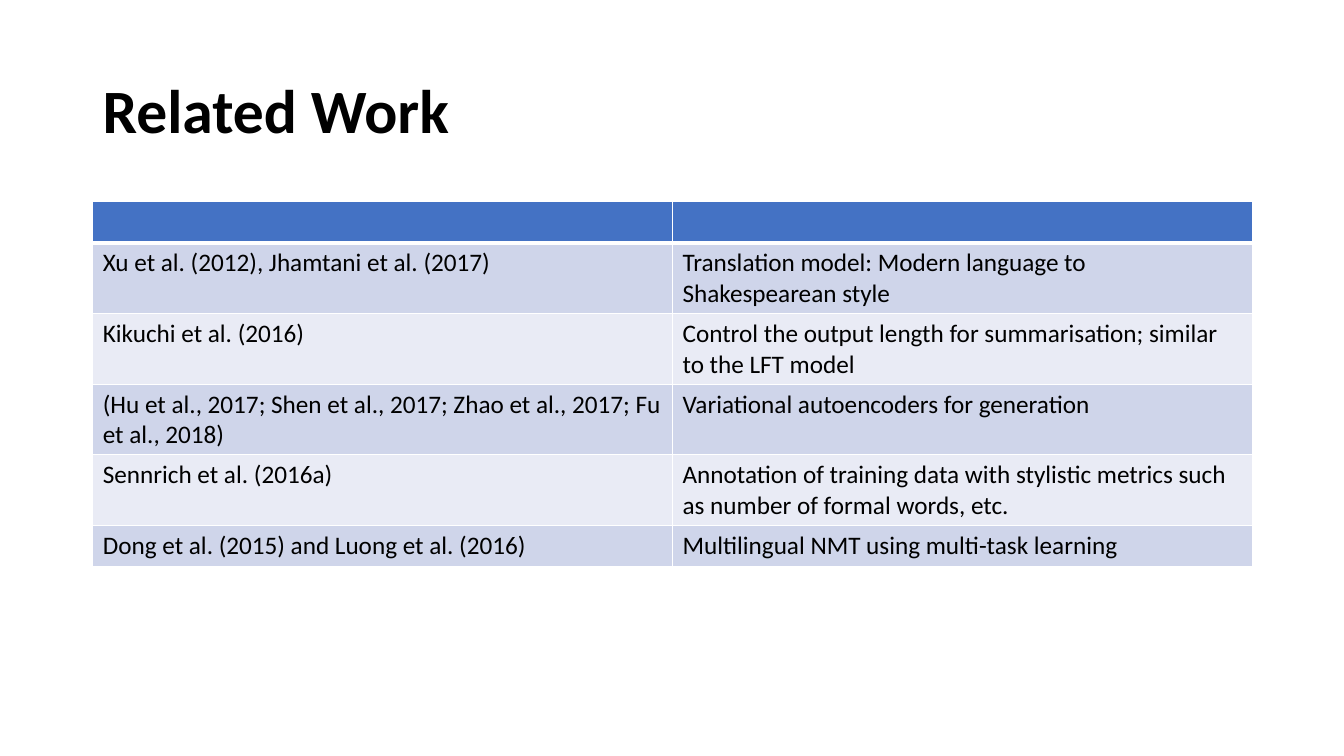
"""Build the Related Work slide: a title above a two-column table."""
from lxml import etree
from pptx import Presentation
from pptx.dml.color import RGBColor
from pptx.enum.text import MSO_ANCHOR
from pptx.oxml.ns import qn
from pptx.util import Inches, Pt

TITLE = "Related Work"
ROWS = [
    ("", ""),
    ("Xu et al. (2012), Jhamtani et al. (2017)",
     "Translation model: Modern language to Shakespearean style"),
    ("Kikuchi et al. (2016)",
     "Control the output length for summarisation; similar to the LFT model"),
    ("(Hu et al., 2017; Shen et al., 2017; Zhao et al., 2017; Fu et al., 2018)",
     "Variational autoencoders for generation"),
    ("Sennrich et al. (2016a)",
     "Annotation of training data with stylistic metrics such as number of formal words, etc."),
    ("Dong et al. (2015) and Luong et al. (2016)",
     "Multilingual NMT using multi-task learning"),
]
COLORS = {"text": "000000", "head": "4472C4", "odd": "CFD5EA",
          "even": "E9EBF5", "rule": "FFFFFF"}
FONT = "Calibri"
LEFT, WIDTH = Inches(0.92), Inches(11.5)
ROW_H = Inches(0.41)
MIDDLE = MSO_ANCHOR.MIDDLE


def add_run(para, text, size, bold=False):
    run = para.add_run()
    run.text = text
    font = run.font
    font.name, font.size, font.bold = FONT, Pt(size), bold
    font.color.rgb = RGBColor.from_string(COLORS["text"])


def add_rule(cell, side, width):
    props = cell._tc.get_or_add_tcPr()
    line = etree.SubElement(props, qn(f"a:ln{side}"), w=str(Pt(width)))
    fill = etree.SubElement(line, qn("a:solidFill"))
    etree.SubElement(fill, qn("a:srgbClr"), val=COLORS["rule"])


def add_title(slide):
    box = slide.shapes.add_textbox(LEFT, Inches(0.4), WIDTH, Inches(1.45))
    frame = box.text_frame
    frame.word_wrap = True
    frame.vertical_anchor = MIDDLE
    para = frame.paragraphs[0]
    para.line_spacing = 0.9
    add_run(para, TITLE, 44, True)


def add_grid(slide):
    count = len(ROWS)
    table = slide.shapes.add_table(
        count, 2, LEFT, Inches(2), WIDTH, ROW_H * count).table
    for r, texts in enumerate(ROWS):
        table.rows[r].height = ROW_H
        tone = "head" if r == 0 else "odd" if r % 2 else "even"
        rules = {"L": 1, "R": 1, "T": 3 if r == 1 else 1, "B": 3 if r == 0 else 1}
        for c, text in enumerate(texts):
            cell = table.cell(r, c)
            for side, width in rules.items():
                add_rule(cell, side, width)
            cell.fill.solid()
            cell.fill.fore_color.rgb = RGBColor.from_string(COLORS[tone])
            if text:
                add_run(cell.text_frame.paragraphs[0], text, 18)


def main():
    deck = Presentation()
    deck.slide_width, deck.slide_height = Inches(13.33), Inches(7.5)
    slide = deck.slides.add_slide(deck.slide_layouts[6])
    add_title(slide)
    add_grid(slide)
    deck.save("out.pptx")


if __name__ == "__main__":
    main()
